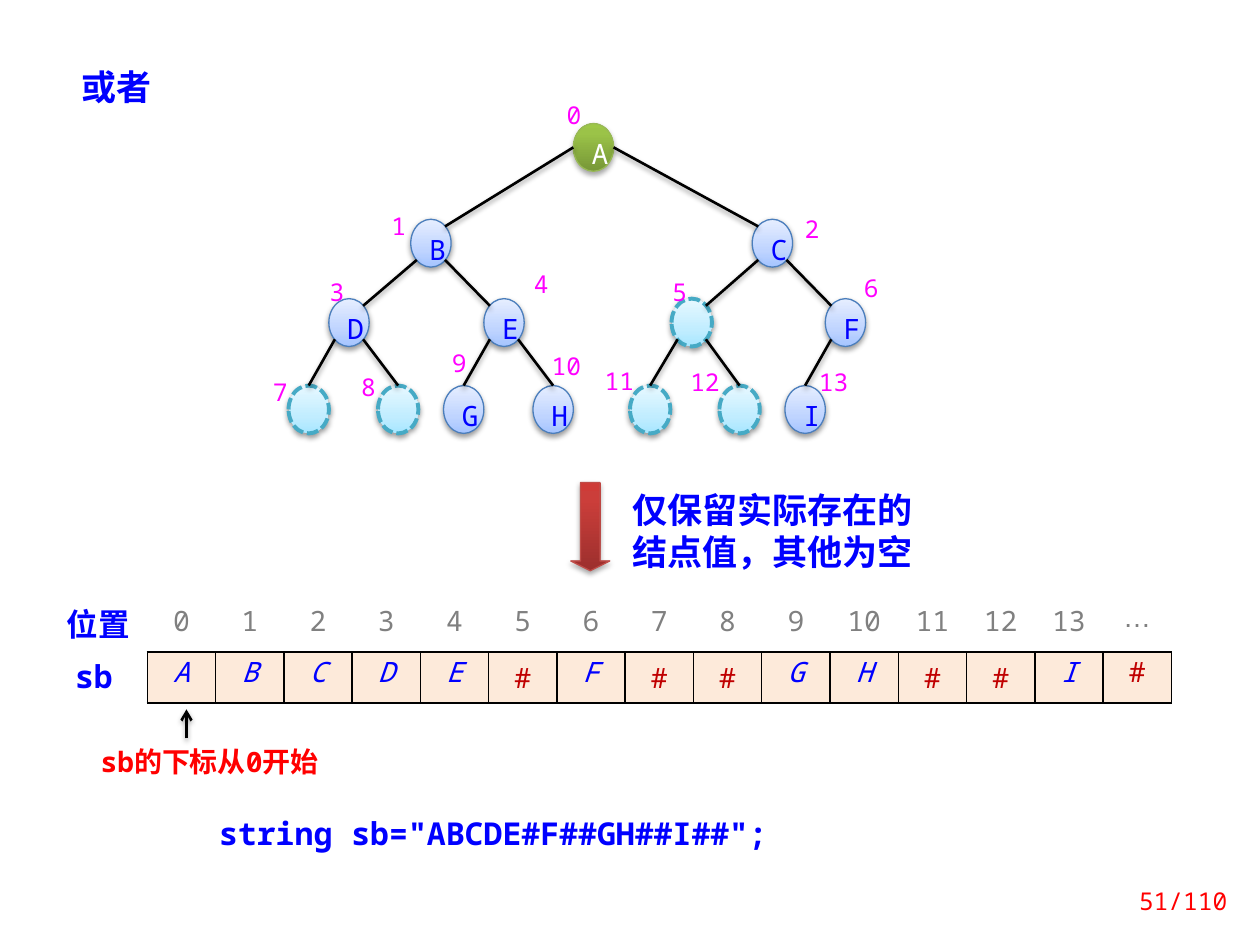
from lxml.etree import SubElement
from pptx import Presentation
from pptx.dml.color import RGBColor
from pptx.enum.dml import MSO_LINE
from pptx.enum.shapes import MSO_CONNECTOR, MSO_SHAPE
from pptx.enum.text import MSO_ANCHOR, MSO_AUTO_SIZE, PP_ALIGN
from pptx.oxml.ns import qn
from pptx.util import Inches, Pt

MONO, CJK = "Noto Sans Mono", "Noto Sans CJK SC"
COLORS = {"blue": "0000FF", "red": "FF0000", "magenta": "FF00FF", "white": "FFFFFF",
          "black": "000000", "gray": "808080", "dark red": "C00000", "peach": "FDEADA"}

# Node looks: gradient stops, line colour, line width, text colour
LOOKS = {
    "root": ([(0, "779737"), (80, "9BC348"), (100, "9DC746")], "98B955", 0.75, "white"),
    "value": ([(0, "A4C4FF"), (35, "BFD4FF"), (100, "E6EEFF")], "4B7EBC", 0.75, "blue"),
    "empty": ([(0, "A7E6FF"), (35, "C1EDFF"), (100, "E7F8FF")], "46AAC5", 2.25, "blue"),
}
ARROW_STOPS = [(0, "9C2F2D"), (80, "CB3E3A"), (100, "CE3B37")]

# The tree in level order; "#" marks an empty node
SEQUENCE = "ABCDE#F##GH##I#"
NODE_COUNT = 14
CENTER_X = [4.71, 3.42, 6.13, 2.77, 4, 5.49, 6.71,
            2.45, 3.16, 3.68, 4.39, 5.16, 5.87, 6.39]
LEVEL_Y = [1.17, 1.93, 2.56, 3.25]
NODE_WIDTH, NODE_HEIGHT = 0.32, 0.38
INDEX_PLACES = [(4.36, 0.84), (2.97, 1.72), (6.25, 1.74), (2.48, 2.24), (4.1, 2.18),
                (5.2, 2.24), (6.72, 2.21), (2.03, 3.04), (2.73, 3), (3.45, 2.81),
                (4.3, 2.83), (4.72, 2.95), (5.4, 2.96), (6.42, 2.96)]

# Free texts: text, box, format
TEXTS = [
    ("或者", (0.55, 0.47, 0.78, 0.44), dict(size=20, bold=True)),
    ("仅保留实际存在的结点值，其他为空", (4.92, 3.83, 2.58, 0.77),
     dict(size=20, bold=True, font=CJK, spacing=Pt(24))),
    ("位置", (0.39, 4.81, 0.78, 0.34),
     dict(size=18, bold=True, font=CJK, align=PP_ALIGN.CENTER, tight=True)),
    ("sb", (0.47, 5.22, 0.55, 0.35),
     dict(size=18, bold=True, align=PP_ALIGN.CENTER, tight=True)),
    ("sb的下标从0开始", (0.7, 5.86, 2.19, 0.37), dict(size=16, bold=True, color="red")),
    ('string sb="ABCDE#F##GH##I##";', (1.64, 6.41, 5.16, 0.4), dict(size=18, bold=True)),
]


def write_text(frame, text, size=16, color="blue", font=MONO, bold=False, italic=False,
               align=PP_ALIGN.LEFT, spacing=None, tight=False):
    """Fill a text frame; tight means 80% lines with half a line before."""
    paragraph = frame.paragraphs[0]
    paragraph.alignment = align
    if tight:
        paragraph.line_spacing = 0.8
        paragraph.space_before = Pt(1)
        before = paragraph._p.pPr.find(qn("a:spcBef"))
        before.remove(before[0])
        SubElement(before, qn("a:spcPct"), val="50000")
    elif spacing:
        paragraph.line_spacing = spacing
    run = paragraph.add_run()
    run.text = text
    run.font.size = Pt(size)
    run.font.name = font
    run.font.bold = bold
    run.font.italic = italic
    run.font.color.rgb = RGBColor.from_string(COLORS[color])
    east_asian = SubElement(run._r.rPr, qn("a:ea"), typeface=CJK)
    run._r.rPr.find(qn("a:latin")).addnext(east_asian)


def add_text(slide, text, box, inset=None, grow=True, **text_format):
    frame = slide.shapes.add_textbox(*map(Inches, box)).text_frame
    frame.word_wrap = True
    if grow:
        frame.auto_size = MSO_AUTO_SIZE.SHAPE_TO_FIT_TEXT
    if inset is not None:
        frame.margin_left = frame.margin_right = Inches(inset)
        frame.margin_top = frame.margin_bottom = Inches(inset)
    write_text(frame, text, **text_format)
    return frame


def add_shadow(shape, distance=1.6, opacity=38):
    effects = SubElement(shape._element.spPr, qn("a:effectLst"))
    shadow = SubElement(effects, qn("a:outerShdw"), blurRad=str(Pt(3.1)),
                        dist=str(Pt(distance)), dir="5400000", rotWithShape="0")
    color = SubElement(shadow, qn("a:srgbClr"), val=COLORS["black"])
    SubElement(color, qn("a:alpha"), val=str(opacity * 1000))


def add_gradient_shape(slide, kind, box, stops, line_color, line_width, **shadow):
    shape = slide.shapes.add_shape(kind, *map(Inches, box))
    shape.fill.gradient()
    shape.fill.gradient_angle = 90
    stop_list = next(shape._element.spPr.iter(qn("a:gsLst")))
    for old in list(stop_list):
        stop_list.remove(old)
    for position, color in stops:
        stop = SubElement(stop_list, qn("a:gs"), pos=str(position * 1000))
        SubElement(stop, qn("a:srgbClr"), val=color)
    shape.line.color.rgb = RGBColor.from_string(line_color)
    shape.line.width = Pt(line_width)
    add_shadow(shape, **shadow)
    return shape


def add_line(slide, start, end, arrow=False):
    line = slide.shapes.add_connector(MSO_CONNECTOR.STRAIGHT, *map(Inches, (*start, *end)))
    line.line.color.rgb = RGBColor.from_string(COLORS["black"])
    line.line.width = Pt(1.5)
    if arrow:
        SubElement(line.line._get_or_add_ln(), qn("a:tailEnd"), type="arrow")
    add_shadow(line)


def node_center(index):
    return CENTER_X[index], LEVEL_Y[(index + 1).bit_length() - 1]


def add_node(slide, index):
    letter = SEQUENCE[index]
    look = "empty" if letter == "#" else "value" if index else "root"
    stops, line_color, line_width, text_color = LOOKS[look]
    x, y = node_center(index)
    box = (x - NODE_WIDTH / 2, y - NODE_HEIGHT / 2, NODE_WIDTH, NODE_HEIGHT)
    large = dict(distance=1.8, opacity=35) if look == "root" else {}
    node = add_gradient_shape(slide, MSO_SHAPE.OVAL, box, stops, line_color, line_width, **large)
    if look == "empty":
        node.line.dash_style = MSO_LINE.SQUARE_DOT
    else:
        node.text_frame.vertical_anchor = MSO_ANCHOR.MIDDLE
        write_text(node.text_frame, letter, color=text_color,
                   align=PP_ALIGN.CENTER, spacing=Pt(26))


def add_edge(slide, index):
    """Join a node to its parent at the rims of the two ellipses."""
    parent = (index - 1) // 2
    (x1, y1), (x2, y2) = node_center(parent), node_center(index)
    side = 1 if x2 > x1 else -1
    corner_x, corner_y = NODE_WIDTH * 0.35, NODE_HEIGHT * 0.35
    if parent == 0:
        start = (x1 + side * NODE_WIDTH / 2, y1)
    else:
        start = (x1 + side * corner_x, y1 + corner_y)
    if y2 == LEVEL_Y[-1]:
        end = (x2, y2 - NODE_HEIGHT / 2)
    else:
        end = (x2 - side * corner_x, y2 - corner_y)
    add_line(slide, start, end)


def add_array_table(slide):
    count = len(SEQUENCE)
    frame = slide.shapes.add_table(2, count, Inches(1.17), Inches(4.77),
                                   Inches(8.13), Inches(0.81))
    table = frame.table
    # Plain style without grid
    table._tbl.tblPr.find(qn("a:tableStyleId")).text = "{2D5ABB26-0587-4C30-8999-92F81FD0307C}"
    table.first_row = table.horz_banding = False
    for column, letter in enumerate(SEQUENCE):
        last = column == count - 1
        empty = letter == "#"
        position = dict(text="…" if last else str(column), color="gray",
                        font="Arial" if last else MONO, tight=True)
        value = dict(text=letter, color="dark red" if empty else "blue",
                     italic=not empty, tight=not empty or last)
        for row, (content, fill, sides) in enumerate([(position, "white", "B"),
                                                      (value, "peach", "LRTB")]):
            cell = table.cell(row, column)
            write_text(cell.text_frame, align=PP_ALIGN.CENTER, **content)
            properties = cell._tc.get_or_add_tcPr()
            for side in sides:
                border = SubElement(properties, qn(f"a:ln{side}"), w=str(Pt(1)))
                SubElement(SubElement(border, qn("a:solidFill")), qn("a:srgbClr"),
                           val=COLORS["black"])
            cell.fill.solid()
            cell.fill.fore_color.rgb = RGBColor.from_string(COLORS[fill])


def main():
    presentation = Presentation()
    presentation.slide_width, presentation.slide_height = Inches(10), Inches(7.5)
    slide = presentation.slides.add_slide(presentation.slide_layouts[6])

    # Down arrow and array
    add_gradient_shape(slide, MSO_SHAPE.DOWN_ARROW, (4.53, 3.83, 0.31, 0.7), ARROW_STOPS,
                       "BF4C48", 0.75, distance=1.8, opacity=35).adjustments[1] = 0.25
    add_array_table(slide)

    # Binary tree with its index labels
    for index in range(NODE_COUNT):
        add_node(slide, index)
    for index in range(1, NODE_COUNT):
        add_edge(slide, index)
    for index, place in enumerate(INDEX_PLACES):
        add_text(slide, str(index), (*place, 0.39, 0.19), inset=0, size=14,
                 color="magenta", align=PP_ALIGN.CENTER, tight=True)

    # Captions, pointer to the first cell, page number
    for text, box, text_format in TEXTS:
        add_text(slide, text, box, **text_format)
    add_line(slide, (1.48, 5.86), (1.48, 5.63), arrow=True)
    add_text(slide, "51/110", (8.7, 6.95, 1.14, 0.4), grow=False, size=14, color="red",
             align=PP_ALIGN.RIGHT).vertical_anchor = MSO_ANCHOR.MIDDLE

    presentation.save("out.pptx")


if __name__ == "__main__":
    main()
